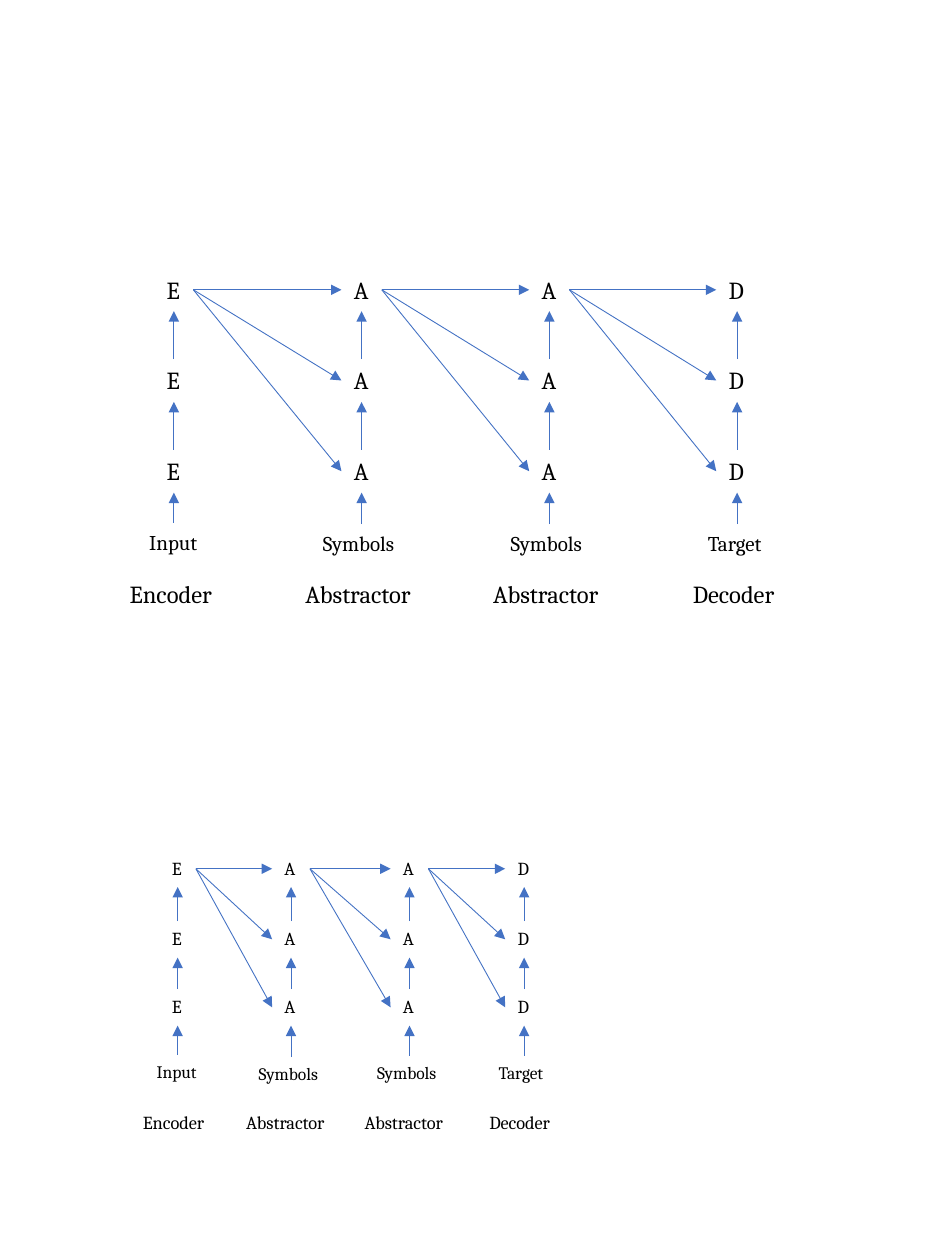
from dataclasses import dataclass

import pptx
import pptx.dml.color
import pptx.enum.dml
import pptx.enum.shapes
import pptx.enum.text
import pptx.oxml
import pptx.oxml.ns
import pptx.util


@dataclass
class Theme:
    font: str = "Cambria"
    text: str = "000000"
    arrow: str = "4472C4"
    arrow_pt: float = 0.5


@dataclass
class Grid:
    """Column centres and row tops of one diagram, in inches, with its type sizes."""
    centers: tuple
    rows: tuple
    input_tops: tuple
    caption_top: float
    letter_h: float
    input_h: float
    letter_pt: float
    input_pt: float
    widths: dict

    def left(self, col, text):
        return self.centers[col] - self.widths[text] / 2

    def right(self, col, text):
        return self.centers[col] + self.widths[text] / 2

    def middle(self, row):
        return self.rows[row] + self.letter_h / 2


# Module letter, input and caption of each column
COLUMNS = [
    ("E", "Input", "Encoder"),
    ("A", "Symbols", "Abstractor"),
    ("A", "Symbols", "Abstractor"),
    ("D", "Target", "Decoder"),
]

LARGE = Grid(
    centers=(1.38, 2.87, 4.36, 5.85), rows=(2.13, 2.85, 3.57),
    input_tops=(4.15, 4.16, 4.16, 4.16), caption_top=4.55,
    letter_h=0.34, input_h=0.3, letter_pt=14, input_pt=12,
    widths={"E": 0.31, "A": 0.32, "D": 0.33, "Input": 0.59, "Symbols": 0.81,
            "Target": 0.66, "Encoder": 0.9, "Abstractor": 1.09, "Decoder": 0.9})

SMALL = Grid(
    centers=(1.41, 2.31, 3.25, 4.16), rows=(6.75, 7.31, 7.85),
    input_tops=(8.37, 8.39, 8.38, 8.38), caption_top=8.77,
    letter_h=0.29, input_h=0.27, letter_pt=10.5, input_pt=10,
    widths={"E": 0.29, "A": 0.3, "D": 0.3, "Input": 0.53, "Symbols": 0.71,
            "Target": 0.6, "Encoder": 0.75, "Abstractor": 0.91, "Decoder": 0.75})


class Painter:
    def __init__(self, slide, theme):
        self.slide = slide
        self.theme = theme
        self.shapes = slide.shapes

    def label(self, grid, col, top, height, text, size):
        box = (grid.left(col, text), top, grid.widths[text], height)
        sp = self.shapes.add_textbox(*map(pptx.util.Inches, box))
        tf = sp.text_frame
        tf.word_wrap = False
        tf.auto_size = pptx.enum.text.MSO_AUTO_SIZE.SHAPE_TO_FIT_TEXT
        p = tf.paragraphs[0]
        p.text = text
        p.font.name = self.theme.font
        p.font.size = pptx.util.Pt(size)
        p.font.color.rgb = pptx.dml.color.RGBColor.from_string(self.theme.text)

    def arrow(self, x1, y1, x2, y2):
        cxn = self.shapes.add_connector(
            pptx.enum.shapes.MSO_CONNECTOR.STRAIGHT,
            *map(pptx.util.Inches, (x1, y1, x2, y2)))
        cxn.line.width = pptx.util.Pt(self.theme.arrow_pt)
        cxn.line.color.rgb = pptx.dml.color.RGBColor.from_string(self.theme.arrow)
        ns = pptx.oxml.ns.nsdecls("a")
        cxn.line._get_or_add_ln().append(
            pptx.oxml.parse_xml(f'<a:tailEnd {ns} type="triangle"/>'))
        cxn._element.spPr.append(pptx.oxml.parse_xml(f"<a:effectLst {ns}/>"))

    def column(self, grid, col):
        letter, source, caption = COLUMNS[col]
        x = grid.centers[col]
        input_top = grid.input_tops[col]
        self.label(grid, col, grid.caption_top, grid.letter_h, caption, grid.letter_pt)
        self.label(grid, col, input_top, grid.input_h, source, grid.input_pt)
        # Each layer feeds the one above it
        for top, below in zip(grid.rows, grid.rows[1:] + (input_top,)):
            self.label(grid, col, top, grid.letter_h, letter, grid.letter_pt)
            self.arrow(x, below, x, top + grid.letter_h)

    def fan(self, grid, col):
        start = grid.right(col, COLUMNS[col][0])
        end = grid.left(col + 1, COLUMNS[col + 1][0])
        for row in range(len(grid.rows)):
            self.arrow(start, grid.middle(0), end, grid.middle(row))

    def diagram(self, grid, grouped=False):
        shapes = self.slide.shapes
        self.shapes = shapes.add_group_shape().shapes if grouped else shapes
        for col in range(len(COLUMNS)):
            self.column(grid, col)
        for col in range(len(COLUMNS) - 1):
            self.fan(grid, col)


def main():
    prs = pptx.Presentation()
    prs.slide_width = pptx.util.Inches(7.5)
    prs.slide_height = pptx.util.Inches(10)
    s = prs.slides.add_slide(prs.slide_layouts[6])
    painter = Painter(s, Theme())

    # Large diagram above, small grouped version below
    painter.diagram(LARGE)
    painter.diagram(SMALL, grouped=True)
    prs.save("out.pptx")


if __name__ == "__main__":
    main()
